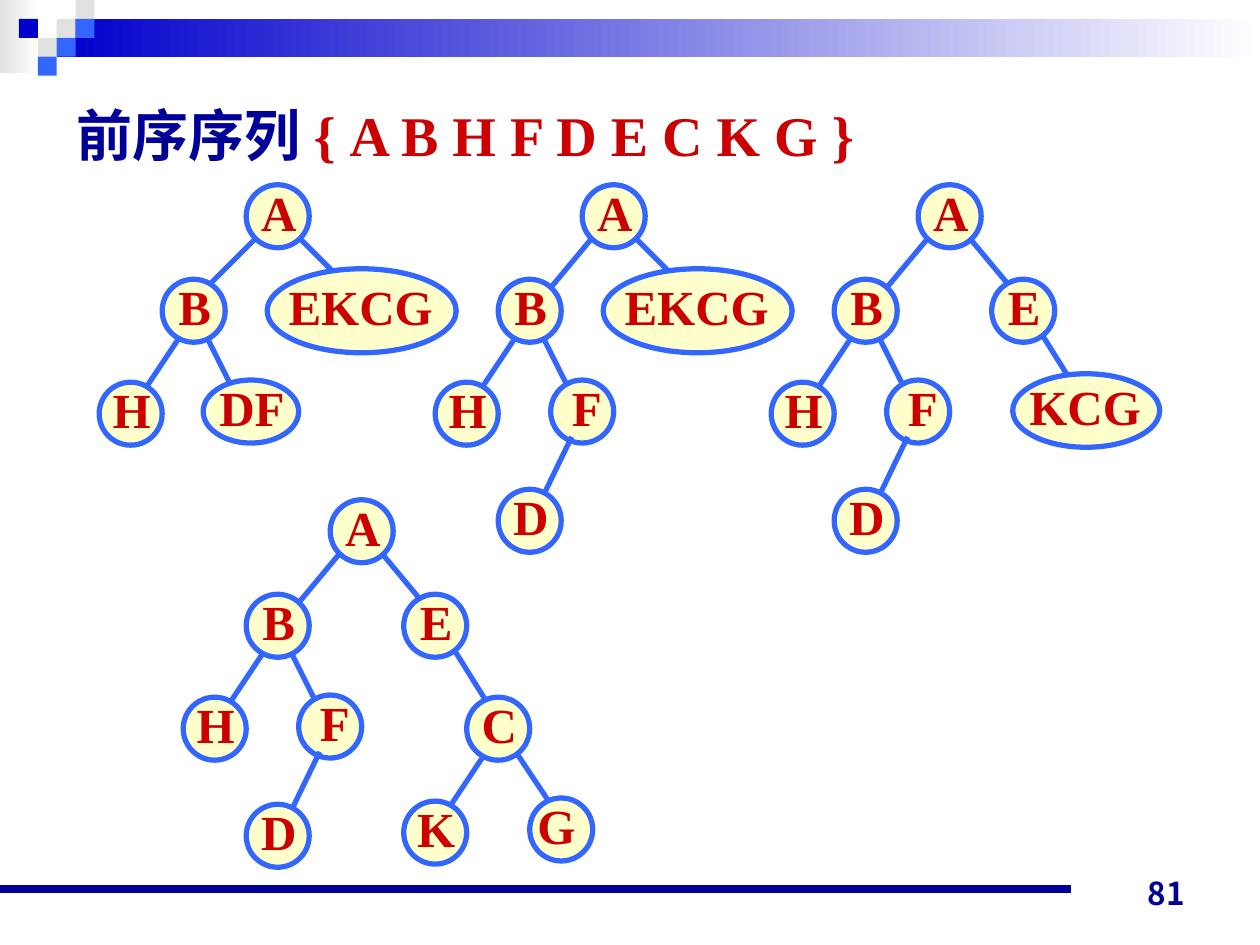
import dataclasses
import typing

import pptx
import pptx.dml.color
import pptx.enum.shapes
import pptx.enum.text
import pptx.oxml
import pptx.oxml.ns
import pptx.util

COLOURS = {
    "navy": "000099", "blue": "0000CC", "azure": "3366FF", "red": "CC0000",
    "cream": "FFFFCC", "grey": "E1E1E1", "white": "FFFFFF",
}
WIDTH, HEIGHT = pptx.util.Inches(10), pptx.util.Inches(7.5)
COLUMNS, ROWS = 120, 90
TILE = 1.8
LABEL_HEIGHT = 6.8
SERIF, SANS = "Times New Roman", "Noto Sans CJK JP"
LETTER_FORMAT = {"size": pptx.util.Pt(28), "name": SERIF, "bold": True}
TITLE_FORMAT = {"size": pptx.util.Pt(32), "name": SERIF, "bold": True}
PAGE_FORMAT = {"size": pptx.util.Pt(18), "name": SANS, "bold": True}
SHAPE = pptx.enum.shapes.MSO_SHAPE
ALIGN = pptx.enum.text.PP_ALIGN
ANCHOR = pptx.enum.text.MSO_ANCHOR


class Edge(typing.NamedTuple):
    start: tuple[float, float]
    end: tuple[float, float]


@dataclasses.dataclass(frozen=True)
class Node:
    """A tree node, placed in grid units from the corner of its root."""
    label: str
    column: float
    row: float
    edge: typing.Optional[Edge] = None
    width: float = 6
    height: float = 6
    shift: float = 0.1


@dataclasses.dataclass(frozen=True)
class Tree:
    column: float
    row: float
    layers: list[list[Node]]


def x(columns: float) -> int:
    return round(WIDTH * columns / COLUMNS)


def y(rows: float) -> int:
    return round(HEIGHT * rows / ROWS)


def colour(name: str) -> pptx.dml.color.RGBColor:
    return pptx.dml.color.RGBColor.from_string(COLOURS[name])


def add_run(paragraph, text: str, ink: str, formats: dict) -> None:
    run = paragraph.add_run()
    run.text = text
    for attribute, value in formats.items():
        setattr(run.font, attribute, value)
    run.font.color.rgb = colour(ink)
    east_asian = pptx.oxml.parse_xml(
        f'<a:ea {pptx.oxml.ns.nsdecls("a")} typeface="{SANS}"/>')
    run.font._element.find(pptx.oxml.ns.qn("a:latin")).addnext(east_asian)


def add_line(shapes, start: tuple, end: tuple, ink: str, points: float) -> None:
    line = shapes.add_connector(
        pptx.enum.shapes.MSO_CONNECTOR.STRAIGHT,
        x(start[0]), y(start[1]), x(end[0]), y(end[1]))
    line.line.color.rgb = colour(ink)
    line.line.width = pptx.util.Pt(points)
    line._element.spPr.append(
        pptx.oxml.parse_xml(f'<a:effectLst {pptx.oxml.ns.nsdecls("a")}/>'))


def add_area(shapes, kind, box: tuple, fill: str, fade: str = ""):
    """Add an unlined shape, fading to a second colour if one is given."""
    column, row, width, height = box
    area = shapes.add_shape(kind, x(column), y(row), x(width), y(height))
    area.shadow.inherit = False
    area.line.fill.background()
    if fade:
        area.fill.gradient()
        area.fill.gradient_angle = 0
        for stop, ink in zip(area.fill.gradient_stops, (fill, fade)):
            stop.color.rgb = colour(ink)
    else:
        area.fill.solid()
        area.fill.fore_color.rgb = colour(fill)
    return area


def add_text(shapes, box: tuple, text: str, ink: str, formats: dict,
             align, anchor, wrap: bool) -> None:
    column, row, width, height = box
    frame = shapes.add_textbox(x(column), y(row), x(width), y(height)).text_frame
    frame.word_wrap = wrap
    frame.vertical_anchor = anchor
    frame.paragraphs[0].alignment = align
    add_run(frame.paragraphs[0], text, ink, formats)


def add_node(shapes, tree: Tree, node: Node) -> None:
    column, row = tree.column + node.column, tree.row + node.row
    oval = add_area(shapes, SHAPE.OVAL, (column, row, node.width, node.height), "cream")
    oval.line.color.rgb = colour("azure")
    oval.line.width = pptx.util.Pt(3)
    label_top = row + (node.height - LABEL_HEIGHT) / 2 - 0.45
    add_text(shapes, (column + node.shift, label_top, node.width, LABEL_HEIGHT),
             node.label, "red", LETTER_FORMAT, ALIGN.CENTER, ANCHOR.MIDDLE, False)


def add_tree(slide, tree: Tree) -> None:
    shapes = slide.shapes.add_group_shape().shapes
    for layer in tree.layers:
        for node in layer:
            if node.edge:
                start, end = [(tree.column + column, tree.row + row)
                              for column, row in node.edge]
                add_line(shapes, start, end, "azure", 3)
        for node in layer:
            add_node(shapes, tree, node)


A = Node("A", 0, 0)
B = Node("B", -8, 9, Edge((1, 5), (-4, 11)))
B_WIDE = dataclasses.replace(B, edge=Edge((1, 5), (-5, 11)))
H = Node("H", -14, 18.8, Edge((-6, 14), (-10, 20)))
F = Node("F", -3, 18.6, Edge((-4, 14), (-1, 20)), shift=0.45)
DF = Node("DF", -4.1, 18.6, F.edge, width=9.1)
D = Node("D", -8, 29, Edge((-1, 24), (-4, 30.2)))
E = Node("E", 7, 9, Edge((4, 4), (9, 10)))
EKCG = Node("EKCG", 2, 8, Edge((5, 5), (11, 11)), width=18, height=8, shift=-0.1)
KCG = Node("KCG", 9, 18, Edge((11, 13), (16, 21)), width=14, height=7, shift=-0.1)
C = Node("C", 13, 18.8, KCG.edge)
K = Node("K", 7, 28.7, Edge((15, 23.8), (11, 29.8)))
G = Node("G", 19, 28.4, Edge((17, 23), (21, 29)), shift=-0.45)

LEFT, TOP, STEP = 23.45, 17.6, 32
TREES = [
    Tree(LEFT, TOP, [[A, B_WIDE, EKCG, H, DF]]),
    Tree(LEFT + STEP, TOP, [[A, B, EKCG, H, F], [D]]),
    Tree(LEFT + 2 * STEP, TOP, [[A, B, E, H, F, KCG], [D]]),
    Tree(LEFT + 8, TOP + 30, [[A, B, E, H, F, C, K, G], [D]]),
]
MOSAIC = [
    (3, 1, "grey"), (4, 0, "grey"), (4, 1, "azure"), (2, 2, "grey"),
    (1, 1, "blue"), (3, 2, "azure"), (2, 3, "azure"),
]


def add_frame(slide) -> None:
    """Add the header band with its mosaic, the footer rule and the page number."""
    add_area(slide.shapes, SHAPE.RECTANGLE, (0, 0, 3.7, 7), "grey", "white")
    add_area(slide.shapes, SHAPE.RECTANGLE,
             (3 * TILE, TILE, COLUMNS - 3 * TILE, 2 * TILE), "blue", "white")
    for column, row, ink in MOSAIC:
        add_area(slide.shapes, SHAPE.RECTANGLE,
                 (column * TILE, row * TILE, TILE, TILE), ink)
    add_line(slide.shapes, (0, 84.7), (102, 84.7), "navy", 4.5)
    add_text(slide.shapes, (86, 81.4, 28, 6), "81", "navy", PAGE_FORMAT,
             ALIGN.RIGHT, ANCHOR.BOTTOM, True)


def add_title(slide) -> None:
    title = slide.shapes.title
    place = {"left": x(6.1), "top": y(6.2), "width": x(108), "height": y(13.2)}
    for attribute, value in place.items():
        setattr(title, attribute, value)
    title.text_frame.vertical_anchor = ANCHOR.MIDDLE
    heading = title.text_frame.paragraphs[0]
    heading.alignment = ALIGN.LEFT
    add_run(heading, "前序序列 ", "navy", TITLE_FORMAT)
    add_run(heading, "{ A B H F D E C K G }", "red", TITLE_FORMAT)


def main() -> None:
    presentation = pptx.Presentation()
    presentation.slide_width, presentation.slide_height = WIDTH, HEIGHT
    slide = presentation.slides.add_slide(presentation.slide_layouts[5])
    add_frame(slide)
    add_title(slide)
    for tree in TREES:
        add_tree(slide, tree)
    presentation.save("out.pptx")


if __name__ == "__main__":
    main()
